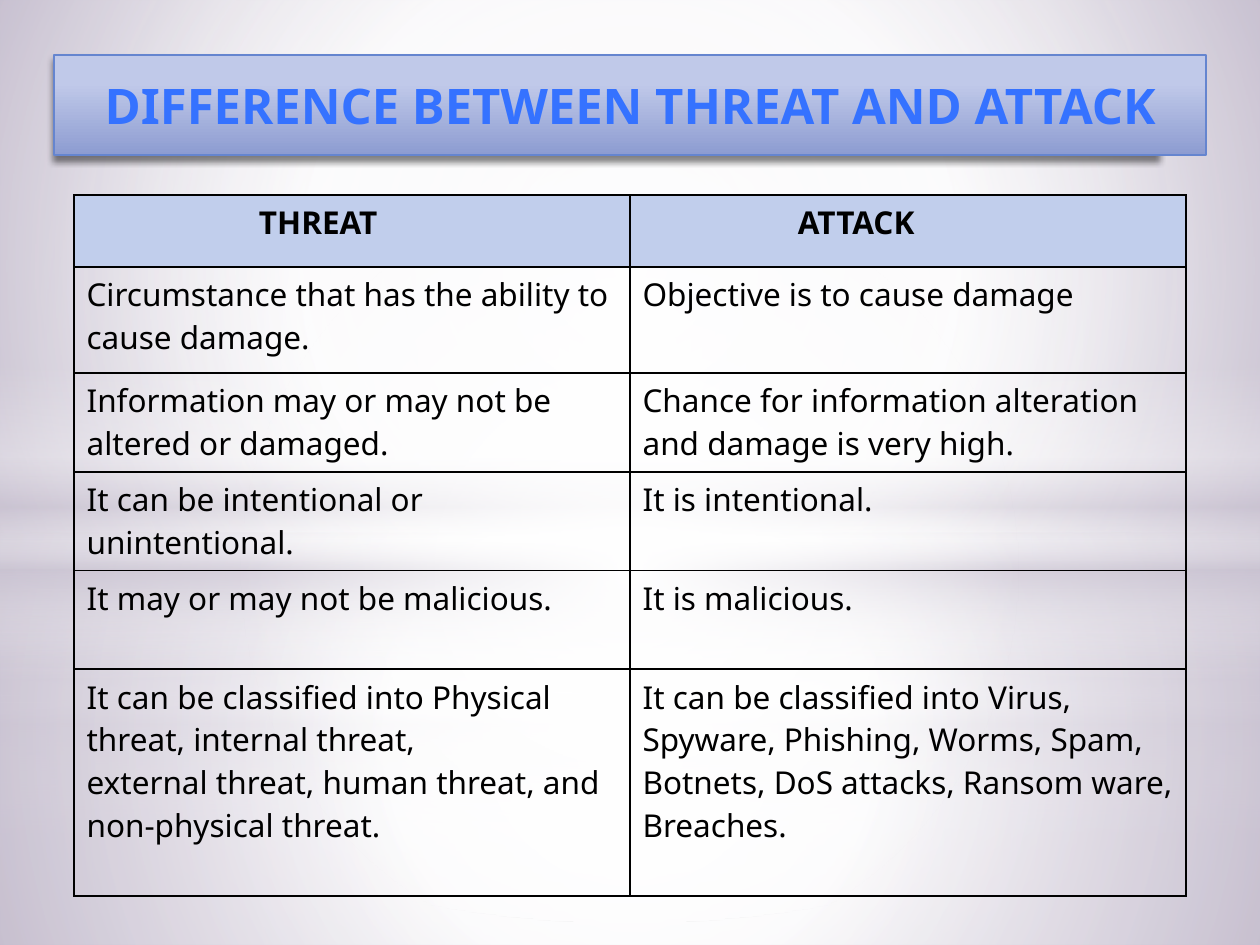
import pptx
import pptx.util
import pptx.dml.color
import pptx.enum.shapes
import pptx.enum.text
import pptx.oxml
import pptx.oxml.ns

PIXEL = 914400 // 126
FONT = "Noto Sans"
NAMESPACE = pptx.oxml.ns.nsdecls("a")
SHAPE = pptx.enum.shapes.MSO_SHAPE
color = pptx.dml.color.RGBColor.from_string


def paint_gradient(fill, element, stops, focus=None):
    fill.background()
    marks = "".join(
        f'<a:gs pos="{place * 1000}"><a:srgbClr val="{tone}"><a:alpha val="{alpha * 1000}"/>'
        f"</a:srgbClr></a:gs>"
        for place, tone, alpha in stops
    )
    if focus:
        sides = " ".join(f'{side}="{value * 1000}"' for side, value in zip("ltrb", focus))
        direction = f'<a:path path="circle"><a:fillToRect {sides}/></a:path>'
    else:
        direction = '<a:lin ang="5400000" scaled="0"/>'
    gradient = pptx.oxml.parse_xml(
        f'<a:gradFill {NAMESPACE} rotWithShape="1"><a:gsLst>{marks}</a:gsLst>{direction}</a:gradFill>'
    )
    blank = element.find(".//" + pptx.oxml.ns.qn("a:noFill"))
    blank.getparent().replace(blank, gradient)


def add_text(para, text, size, tone, bold):
    span = para.add_run()
    span.text = text
    span.font.name = FONT
    span.font.size = pptx.util.Pt(size)
    span.font.bold = bold
    span.font.color.rgb = color(tone)


deck = pptx.Presentation()
deck.slide_width = 1260 * PIXEL
deck.slide_height = 945 * PIXEL
page = deck.slides.add_slide(deck.slide_layouts[5])

paint_gradient(
    page.background.fill, page.element,
    [(0, "C1B7CD", 100), (60, "FFFFFF", 100), (100, "A191B5", 100)], (20, 10, 20, 60),
)

CENTER = (50, 50, 50, 50)
BAND = [(0, "FFFFFF", 0), (29, "FFFFFF", 30), (45, "C9C2D1", 40),
        (55, "FFFFFF", 26), (65, "C9C2D1", 60), (100, "FFFFFF", 0)]
layers = []
for horizon, band_top, middle, glow_end, extra in [(703, 519, 76, 56, 0), (533, 365, 77, 54, 1)]:
    floor = [(0, "FFFFFF", 91 + extra), (37, "FFFFFF", middle), (100, "C9C2D1", 79 + extra)]
    wall = [(0, "FFFFFF", 89 + extra), (48, "FFFFFF", 62 + extra), (100, "C9C2D1", 79 + extra)]
    glow = [(0, "FFFFFF", 100), (glow_end, "FFFFFF", 0)]
    layers += [
        (SHAPE.RECTANGLE, horizon, 945 - horizon, floor, CENTER),
        (SHAPE.RECTANGLE, 0, horizon, wall, CENTER),
        (SHAPE.RECTANGLE, band_top, 315, BAND, None),
        (SHAPE.OVAL, 220, 703, glow, CENTER),
    ]
for kind, top, height, stops, focus in layers:
    layer = page.shapes.add_shape(kind, 0, top * PIXEL, 1260 * PIXEL, height * PIXEL)
    layer.shadow.inherit = False
    paint_gradient(layer.fill, layer.element, stops, focus)
    layer.line.fill.background()

title = page.shapes.title
title.left, title.top, title.width, title.height = [n * PIXEL for n in (54, 55, 1152, 100)]
properties = title.element.spPr
properties.insert(1, pptx.oxml.parse_xml(
    f'<a:prstGeom {NAMESPACE} prst="flowChartAlternateProcess"><a:avLst/></a:prstGeom>'
))
paint_gradient(title.fill, title.element, [(28, "C0C9E9", 100), (100, "8D9CD1", 100)])
title.line.color.rgb = color("6585CF")
title.line.width = pptx.util.Pt(0.75)
properties.append(pptx.oxml.parse_xml(
    f'<a:effectLst {NAMESPACE}><a:outerShdw blurRad="50800" dist="38100" dir="5400000" '
    'sx="96000" rotWithShape="0"><a:srgbClr val="000000"><a:alpha val="48000"/></a:srgbClr>'
    '</a:outerShdw></a:effectLst>'
))
page.shapes.element.append(title.element)
frame = title.text_frame
frame.word_wrap = True
frame.vertical_anchor = pptx.enum.text.MSO_ANCHOR.MIDDLE
frame.paragraphs[0].alignment = pptx.enum.text.PP_ALIGN.CENTER
add_text(frame.paragraphs[0], "DIFFERENCE BETWEEN THREAT AND ATTACK", 28, "3572FF", True)

ROWS = [
    (72, "THREAT", "ATTACK"),
    (106, "Circumstance that has the ability to cause damage.", "Objective is to cause damage"),
    (99, "Information may or may not be altered or damaged.",
     "Chance for information alteration and damage is very high."),
    (98, "It can be intentional or unintentional.", "It is intentional."),
    (99, "It may or may not be malicious.", "It is malicious."),
    (227, "It can be classified into Physical threat, internal threat,\n"
          "external threat, human threat, and non-physical threat.",
     "It can be classified into Virus, Spyware, Phishing, Worms, Spam,\n"
     "Botnets, DoS attacks, Ransom ware, Breaches."),
]
HEADER_INDENTS = (185, 168)
table = page.shapes.add_table(
    len(ROWS), 2, 74 * PIXEL, 195 * PIXEL, 1112 * PIXEL, 701 * PIXEL
).table
table.horz_banding = False
for column in table.columns:
    column.width = 556 * PIXEL
for row_index, (height, *texts) in enumerate(ROWS):
    table.rows[row_index].height = height * PIXEL
    for column_index, text in enumerate(texts):
        cell = table.cell(row_index, column_index)
        header = row_index == 0
        if header:
            cell.fill.solid()
            cell.fill.fore_color.rgb = color("C1CEEC")
            cell.margin_left = HEADER_INDENTS[column_index] * PIXEL
        else:
            cell.fill.background()
        for line_index, line in enumerate(text.split("\n")):
            para = cell.text_frame.add_paragraph() if line_index else cell.text_frame.paragraphs[0]
            add_text(para, line, 18, "000000", header)
        for side_index, side in enumerate("LRTB"):
            cell._tc.get_or_add_tcPr().insert(side_index, pptx.oxml.parse_xml(
                f'<a:ln{side} {NAMESPACE} w="12700"><a:solidFill><a:srgbClr val="000000"/>'
                f"</a:solidFill></a:ln{side}>"
            ))

deck.save("out.pptx")
